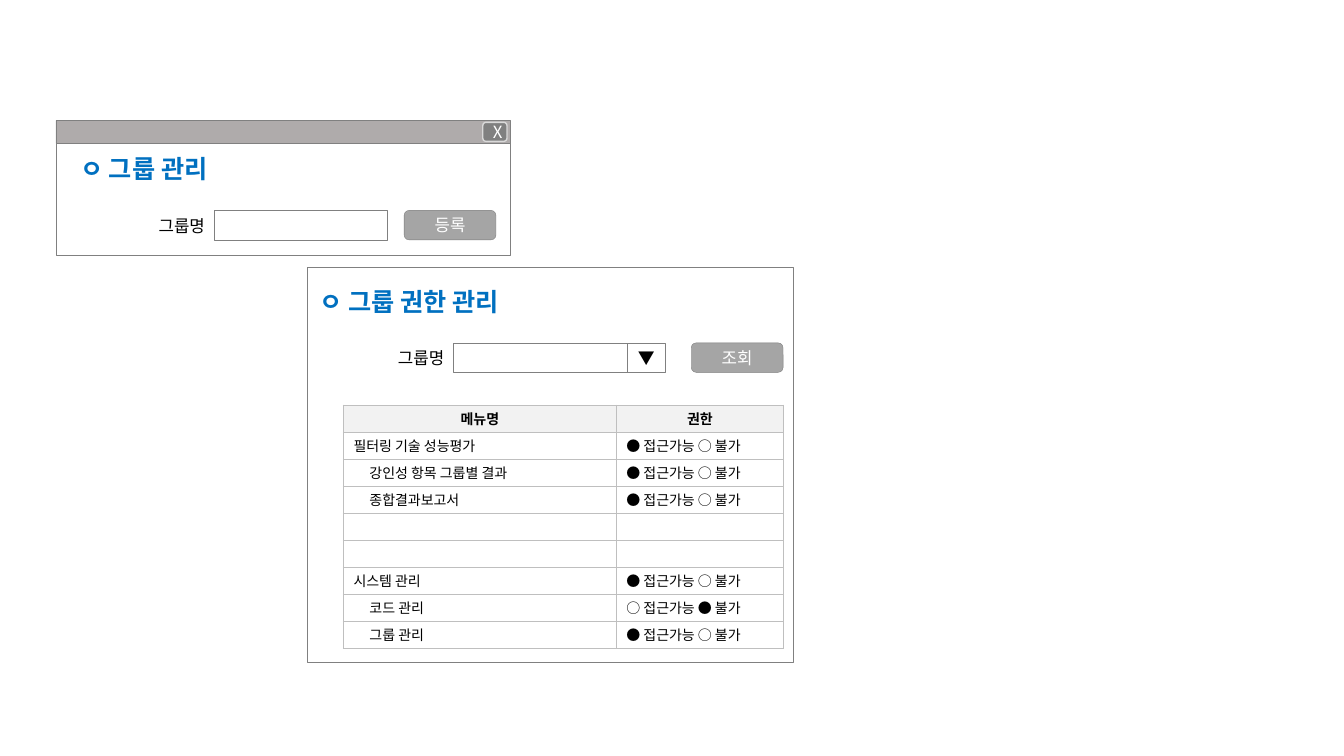
from lxml import etree
from pptx import Presentation
from pptx.dml.color import RGBColor
from pptx.enum.shapes import MSO_SHAPE
from pptx.enum.text import MSO_ANCHOR, PP_ALIGN
from pptx.oxml.ns import qn
from pptx.util import Pt

FONT = "Noto Sans CJK KR"
BLACK = RGBColor(0x00, 0x00, 0x00)
WHITE = RGBColor(0xFF, 0xFF, 0xFF)
BLUE = RGBColor(0x00, 0x70, 0xC0)
OUTLINE = RGBColor(0x80, 0x80, 0x80)
BUTTON_FILL = RGBColor(0xA5, 0xA5, 0xA5)
BUTTON_LINE = RGBColor(0x7A, 0x7A, 0x7A)
BAR_FILL = RGBColor(0xAF, 0xAB, 0xAB)
CLOSE_LINE = RGBColor(0xD9, 0xD9, 0xD9)
HEADER_FILL = RGBColor(0xF2, 0xF2, 0xF2)
GRID = "BFBFBF"
FIELD_WIDTH, FIELD_HEIGHT = 123.9, 21.1
ALLOWED, DENIED = "● 접근가능 ○ 불가", "○ 접근가능 ● 불가"
MENU_ROWS = [
    ("필터링 기술 성능평가", 0, ALLOWED),
    ("강인성 항목 그룹별 결과", 1, ALLOWED),
    ("종합결과보고서", 1, ALLOWED),
    ("", 0, ""),
    ("", 0, ""),
    ("시스템 관리", 0, ALLOWED),
    ("코드 관리", 1, DENIED),
    ("그룹 관리", 1, ALLOWED),
]


def set_format(target, formats):
    """Set each attribute of the target from a dict."""
    for name, value in formats.items():
        setattr(target, name, value)


def write(frame, text, size, color=BLACK, bold=False, align=PP_ALIGN.LEFT):
    """Write one formatted paragraph into a text frame."""
    paragraph = frame.paragraphs[0]
    paragraph.alignment = align
    run = paragraph.add_run()
    run.text = text
    set_format(run.font, {"size": Pt(size), "bold": bold, "name": FONT})
    run.font.color.rgb = color
    etree.SubElement(run.font._element, qn("a:ea"), typeface=FONT)


def add_box(slide, box, kind=MSO_SHAPE.RECTANGLE, fill=None, line=OUTLINE, weight=0.25):
    """Add an outlined shape, filled only when a colour is given."""
    shape = slide.shapes.add_shape(kind, *map(Pt, box))
    shape.shadow.inherit = False
    if fill is None:
        shape.fill.background()
    else:
        shape.fill.solid()
        shape.fill.fore_color.rgb = fill
    shape.line.color.rgb = line
    shape.line.width = Pt(weight)
    return shape


def add_caption(shape, text, color=WHITE, inset=0):
    """Centre a short caption in a shape."""
    set_format(shape.text_frame, {
        "margin_left": Pt(inset), "margin_right": 0, "margin_top": 0, "margin_bottom": 0,
        "vertical_anchor": MSO_ANCHOR.MIDDLE, "word_wrap": False})
    write(shape.text_frame, text, 12, color, align=PP_ALIGN.CENTER)


def add_heading(shape, box, text):
    """Place and format a blue section heading."""
    set_format(shape, dict(zip(("left", "top", "width", "height"), map(Pt, box))))
    set_format(shape.text_frame, {"word_wrap": False, "vertical_anchor": MSO_ANCHOR.TOP})
    write(shape.text_frame, text, 18, BLUE, True)


def add_group_field(slide, left, top, button_left, button_text):
    """Add the group name label, its input field and a button."""
    label = slide.shapes.add_textbox(Pt(left - 50.4), Pt(top), Pt(51), Pt(21.8))
    label.text_frame.word_wrap = False
    write(label.text_frame, "그룹명", 12, align=PP_ALIGN.RIGHT)
    add_box(slide, (left, top, FIELD_WIDTH, FIELD_HEIGHT))
    button = add_box(slide, (button_left, top, 65.6, FIELD_HEIGHT),
                     MSO_SHAPE.ROUNDED_RECTANGLE, BUTTON_FILL, BUTTON_LINE)
    add_caption(button, button_text)


def add_group_window(slide, left, top, width, height):
    """Build the pop-up window that registers a group."""
    bar_height = 16.4
    add_box(slide, (left, top + bar_height, width, height - bar_height))
    add_box(slide, (left, top, width, bar_height), fill=BAR_FILL)
    close = add_box(slide, (left + width - 19.7, top + 1.4, 17.3, 13.6),
                    MSO_SHAPE.ROUNDED_RECTANGLE, OUTLINE, CLOSE_LINE, 1)
    add_caption(close, "X", inset=4)
    add_heading(slide.shapes.title, (left + 10.1, top + 20.2, 118, 29), "ㅇ 그룹 관리")
    add_group_field(slide, left + 113, top + 64.3, left + 248.8, "등록")


def format_cell(cell, text, indent=0, header=False):
    """Fill, border and write one table cell."""
    set_format(cell, {
        "margin_left": Pt(7.2 + 11.4 * indent), "margin_top": Pt(2), "margin_bottom": Pt(2),
        "vertical_anchor": MSO_ANCHOR.MIDDLE})
    properties = cell._tc.get_or_add_tcPr()
    for side in ("lnL", "lnR", "lnT", "lnB"):
        border = etree.SubElement(properties, qn(f"a:{side}"), w=str(Pt(1)))
        fill = etree.SubElement(border, qn("a:solidFill"))
        etree.SubElement(fill, qn("a:srgbClr"), val=GRID)
    if header:
        cell.fill.solid()
        cell.fill.fore_color.rgb = HEADER_FILL
    else:
        cell.fill.background()
    if text:
        align = PP_ALIGN.CENTER if header else PP_ALIGN.LEFT
        write(cell.text_frame, text, 10, bold=header, align=align)
    else:
        etree.SubElement(cell.text_frame.paragraphs[0]._p, qn("a:endParaRPr"), sz="1000")


def add_permission_table(slide, left, top, widths, row_height):
    """Build the table of menus and their permissions."""
    row_count = len(MENU_ROWS) + 1
    table = slide.shapes.add_table(row_count, len(widths), Pt(left), Pt(top),
                                   Pt(sum(widths)), Pt(row_height * row_count)).table
    set_format(table, {"first_row": False, "horz_banding": False})
    for column, width in zip(table.columns, widths):
        column.width = Pt(width)
    for row in table.rows:
        row.height = Pt(row_height)
    for index, title in enumerate(("메뉴명", "권한")):
        format_cell(table.cell(0, index), title, header=True)
    for index, (menu, indent, permission) in enumerate(MENU_ROWS, 1):
        format_cell(table.cell(index, 0), menu, indent)
        format_cell(table.cell(index, 1), permission)


def add_permission_panel(slide, left, top, width, height):
    """Build the panel that manages group permissions."""
    add_box(slide, (left, top, width, height))
    heading = slide.shapes.add_textbox(0, 0, 0, 0)
    add_heading(heading, (left + 1.4, top + 10.1, 161.3, 29), "ㅇ 그룹 권한 관리")
    field_left, field_top = left + 104.4, top + 54
    add_group_field(slide, field_left, field_top, left + 274.3, "조회")
    arrow = add_box(slide, (field_left + FIELD_WIDTH, field_top, 27.6, FIELD_HEIGHT))
    add_caption(arrow, "▼", BLACK)
    add_permission_table(slide, left + 25.8, top + 98.6, (194.9, 119.4), 19.28)


def main():
    """Build and save the slide."""
    presentation = Presentation()
    set_format(presentation, {"slide_width": Pt(960), "slide_height": Pt(540)})
    slide = presentation.slides.add_slide(presentation.slide_layouts[5])
    add_group_window(slide, 39.9, 86, 324.7, 96.6)
    add_permission_panel(slide, 219.5, 190.9, 346.8, 282.2)
    presentation.save("out.pptx")


main()
